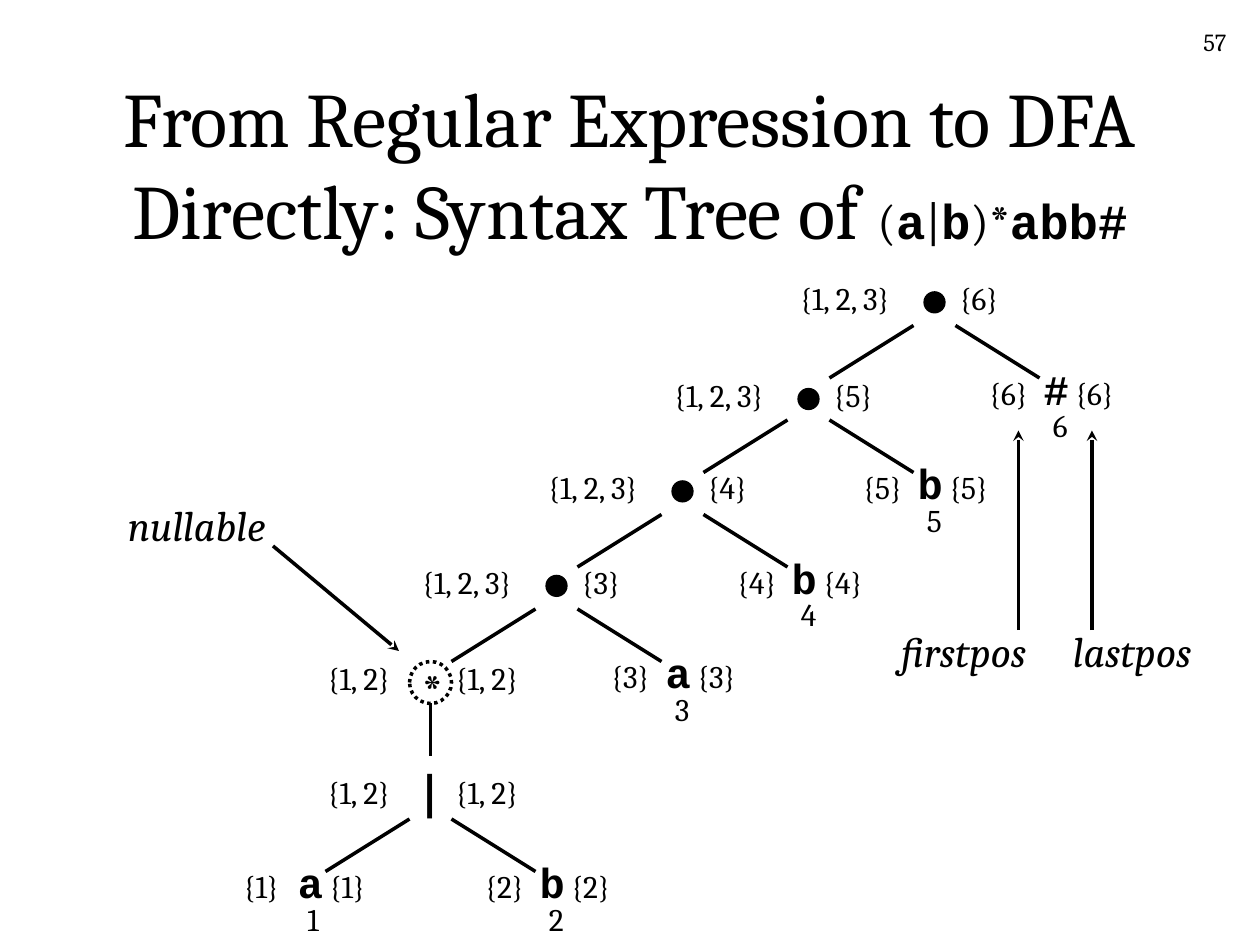
from typing import NamedTuple

from lxml import etree
from pptx import Presentation
from pptx.dml.color import RGBColor
from pptx.enum.dml import MSO_LINE
from pptx.enum.shapes import MSO_CONNECTOR, MSO_SHAPE
from pptx.enum.text import MSO_ANCHOR, MSO_AUTO_SIZE, PP_ALIGN
from pptx.oxml.ns import qn
from pptx.util import Inches, Pt

BLACK = RGBColor(0x00, 0x00, 0x00)
SERIF = "Cambria"
MONO = "Courier New"
LEFT, CENTER, RIGHT = PP_ALIGN.LEFT, PP_ALIGN.CENTER, PP_ALIGN.RIGHT
TOP, MIDDLE = MSO_ANCHOR.TOP, MSO_ANCHOR.MIDDLE
GROW, FIXED = MSO_AUTO_SIZE.SHAPE_TO_FIT_TEXT, MSO_AUTO_SIZE.NONE
OVAL = MSO_SHAPE.OVAL
STRAIGHT = MSO_CONNECTOR.STRAIGHT
DOTTED = MSO_LINE.ROUND_DOT

WIDE, HIGH = Inches(10), Inches(7.5)
COLS, ROWS = 120, 90


class Run(NamedTuple):
    text: str
    size: float
    font: str = SERIF
    bold: bool = False
    slant: bool = False


class Box(NamedTuple):
    col: float
    row: float
    wide: float
    high: float


class Node(NamedTuple):
    col: float
    row: float
    first: str
    last: str


class Leaf(NamedTuple):
    col: float
    row: float
    sign: str
    place: str


class Term(NamedTuple):
    text: str
    col: float
    row: float
    wide: float


class Edge(NamedTuple):
    col: float
    row: float
    to_col: float
    to_row: float


DOTS = [
    Node(89, 26, "{1, 2, 3}", "{6}"),
    Node(77, 35.2, "{1, 2, 3}", "{5}"),
    Node(65, 44, "{1, 2, 3}", "{4}"),
    Node(53, 53, "{1, 2, 3}", "{3}"),
]
STAR = Node(41, 62.2, "{1, 2}", "{1, 2}")
BAR = Node(41, 73, "{1, 2}", "{1, 2}")
LEAVES = [
    Leaf(22, 81, "a", "1"),
    Leaf(45, 81, "b", "2"),
    Leaf(57, 61, "a", "3"),
    Leaf(69, 52, "b", "4"),
    Leaf(81, 43, "b", "5"),
    Leaf(93, 34, "#", "6"),
]
FORKS = [(89, 31), (77, 40), (65, 49), (53, 58), (41, 78)]
TERMS = [
    Term("nullable", 11, 47, 15.5),
    Term("firstpos", 84.6, 59, 14.4),
    Term("lastpos", 101, 59, 13.8),
]
ARROWS = [Edge(26, 52, 38, 62), Edge(97, 60, 97, 41), Edge(104, 60, 104, 41)]
TITLE = [
    Run("From Regular Expression to DFA Directly: Syntax Tree of ", 44),
    Run("(", 28),
    Run("a", 28, MONO, True),
    Run("|", 28),
    Run("b", 28, MONO, True),
    Run(")*", 28),
    Run("abb#", 28, MONO, True),
]


def across(col: float) -> int:
    return round(WIDE * col / COLS)


def down(row: float) -> int:
    return round(HIGH * row / ROWS)


def write(slide, box: Box, runs: list[Run], align=LEFT, anchor=TOP,
          wrap: bool = False, fit=GROW) -> None:
    shape = slide.shapes.add_textbox(across(box.col), down(box.row),
                                     across(box.wide), down(box.high))
    frame = shape.text_frame
    frame.word_wrap = wrap
    frame.auto_size = fit
    frame.vertical_anchor = anchor
    para = frame.paragraphs[0]
    para.alignment = align
    for item in runs:
        run = para.add_run()
        run.text = item.text
        run.font.name = item.font
        run.font.size = Pt(item.size)
        run.font.bold = item.bold
        run.font.italic = item.slant
        run.font.color.rgb = BLACK


def draw_ring(slide, col: float, row: float, size: float, solid: bool) -> None:
    ring = slide.shapes.add_shape(OVAL, across(col - size / 2),
                                  down(row - size / 2), across(size), down(size))
    ring.shadow.inherit = False
    ring.line.color.rgb = BLACK
    if solid:
        ring.fill.solid()
        ring.fill.fore_color.rgb = BLACK
        ring.line.width = Pt(0.75)
    else:
        ring.fill.background()
        ring.line.width = Pt(2)
        ring.line.dash_style = DOTTED


def draw_edge(slide, edge: Edge, arrow: bool = False) -> None:
    link = slide.shapes.add_connector(STRAIGHT, across(edge.col), down(edge.row),
                                      across(edge.to_col), down(edge.to_row))
    link.line.color.rgb = BLACK
    link.line.width = Pt(2)
    if arrow:
        etree.SubElement(link.line._get_or_add_ln(), qn("a:tailEnd"), type="stealth")
    etree.SubElement(link._element.spPr, qn("a:effectLst"))


def draw_sets(slide, node: Node) -> None:
    for text, edge in ((node.first, -1), (node.last, 1)):
        wide = {3: 6.8, 6: 9.8, 9: 12.8}[len(text)]
        col = node.col + 1.2 if edge > 0 else node.col - 1.2 - wide
        write(slide, Box(col, node.row, wide, 4.8), [Run(text, 18)])


def draw_leaf(slide, leaf: Leaf) -> None:
    for step in (0, 8.2):
        write(slide, Box(leaf.col + step, leaf.row + 1, 6.8, 4.8),
              [Run("{" + leaf.place + "}", 18)])
    write(slide, Box(leaf.col + 5.2, leaf.row, 4, 6),
          [Run(leaf.sign, 24, MONO, True)], wrap=True)
    write(slide, Box(leaf.col + 6.1, leaf.row + 4.1, 4, 4.8), [Run(leaf.place, 18)])


def main() -> None:
    deck = Presentation()
    deck.slide_width, deck.slide_height = WIDE, HIGH
    slide = deck.slides.add_slide(deck.slide_layouts[6])

    write(slide, Box(93, 2, 25, 6), [Run("57", 14)], RIGHT, wrap=True, fit=FIXED)
    write(slide, Box(9, 8, 102, 15), TITLE, CENTER, MIDDLE, True, FIXED)

    for node in DOTS:
        draw_ring(slide, node.col, node.row + 2.8, 2, True)
    for node in [*DOTS, STAR, BAR]:
        draw_sets(slide, node)
    for sign, row in (("*", STAR.row), ("|", BAR.row - 1)):
        write(slide, Box(STAR.col - 2, row, 2.4, 6.8),
              [Run(sign, 28, bold=True)], wrap=True)
    for leaf in LEAVES:
        draw_leaf(slide, leaf)

    for col, row in FORKS:
        for side in (-1, 1):
            draw_edge(slide, Edge(col + 2 * side, row, col + 10 * side, row + 5))
    draw_edge(slide, Edge(41, 67, 41, 72))
    draw_ring(slide, 41, 65, 4, False)

    for term in TERMS:
        write(slide, Box(term.col, term.row, term.wide, 6),
              [Run(term.text, 24, slant=True)])
    for arrow in ARROWS:
        draw_edge(slide, arrow, True)

    deck.save("out.pptx")


if __name__ == "__main__":
    main()
